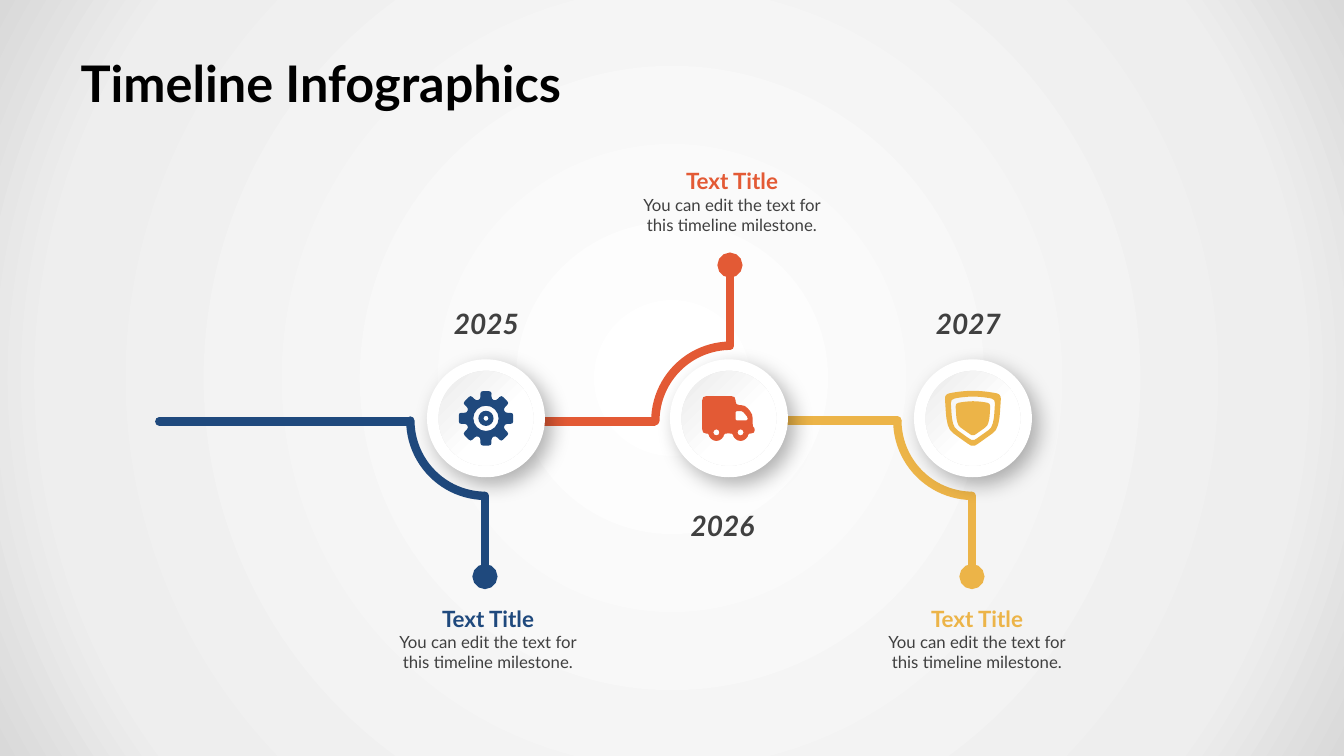
from dataclasses import dataclass
from math import cos, dist, radians, sin
from typing import Callable

from lxml import etree
from pptx import Presentation
from pptx.dml.color import RGBColor
from pptx.enum.shapes import MSO_CONNECTOR, MSO_SHAPE
from pptx.enum.text import MSO_ANCHOR, PP_ALIGN
from pptx.oxml import parse_xml
from pptx.oxml.ns import nsdecls, qn
from pptx.util import Inches, Pt

ARC, OVAL, STRAIGHT = MSO_SHAPE.ARC, MSO_SHAPE.OVAL, MSO_CONNECTOR.STRAIGHT
MIDDLE, LEFT, CENTER = MSO_ANCHOR.MIDDLE, PP_ALIGN.LEFT, PP_ALIGN.CENTER

CIRCLE_AXIS = 4.15
RADIUS = 0.75
DARK = "404040"
TITLE = {"size": Pt(36), "bold": True}
YEAR = {"size": Pt(20), "bold": True, "italic": True}
HEADING = {"size": Pt(16), "bold": True}
BODY = {"size": Pt(12), "bold": False}

Point = tuple[float, float]
TextLine = tuple[str, str, dict]


@dataclass(frozen=True)
class Outline:
    corners: list[Point]
    rounding: float


@dataclass(frozen=True)
class Milestone:
    year: str
    color: str
    center: float
    arc_center: Point
    line: tuple[float, float, float]
    stem: tuple[float, float, float]
    year_place: Point
    label_place: Point
    upward: bool
    icon: Callable[[], list[Outline]]


def polar(radius: float, angle: float, x: float = 0, y: float = 0) -> Point:
    return x + radius * cos(radians(angle)), y + radius * sin(radians(angle))


def octagon(radius: float, x: float = 0, y: float = 0) -> list[Point]:
    """Corners of the octagon around a circle, from the lower right onwards."""
    return [polar(radius / cos(radians(22.5)), 22.5 + 45 * k, x, y) for k in range(8)]


def circle(radius: float, x: float = 0, y: float = 0) -> Outline:
    return Outline(octagon(radius, x, y), radius)


# Icon outlines are in hundredths of an inch around the milestone centre.
def gear() -> list[Outline]:
    teeth = [polar(radius, 45 * tooth + offset) for tooth in range(8)
             for radius, offset in ((19.8, -16), (27.5, -11.5), (27.5, 11.5), (19.8, 16))]
    return [Outline(teeth, 2.5), circle(12.5), circle(7.5), circle(2.5)]


def truck() -> list[Outline]:
    body = [(-26.5, -22), (6.5, -22), (6.5, -13), (16, -13), (23.5, -4),
            (23.5, 9), (25.5, 9), (25.5, 15)]
    for x in (11.5, -12.5):
        body += [(x + 7.5, 15), *octagon(7.5, x, 15)[:4], (x - 7.5, 15)]
    window = [(6.5, -7), (13.5, -7), (18.5, -1), (18.5, 2), (6.5, 2)]
    return [Outline(body + [(-26.5, 15)], 4), Outline(window, 1),
            circle(3, 11.5, 14), circle(3, -12.5, 14)]


def shield() -> list[Outline]:
    right = [(14, -26.5), (28, -24), (26.5, 0), (23.5, 12), (4, 26)]
    left = [(-x, y) for x, y in reversed(right)]
    corners = [(0, -27.5), *right, (0, 28), *left]
    return [Outline([(x * scale, y * scale) for x, y in corners], 5 * scale)
            for scale in (1, 0.79, 0.62)]


def corner_curves(outline: Outline) -> list[Point]:
    """Give entry, control and exit point of the curve at each corner."""
    corners, points = outline.corners, []
    for i, corner in enumerate(corners):
        ends = []
        for neighbor in (corners[i - 1], corners[(i + 1) % len(corners)]):
            share = min(outline.rounding / dist(corner, neighbor), 0.5)
            ends.append(tuple(c + (n - c) * share for c, n in zip(corner, neighbor)))
        points += [ends[0], corner, ends[1]]
    return [(Inches(x / 100), Inches(y / 100)) for x, y in points]


def add_icon(slide, milestone: Milestone) -> None:
    contours = [corner_curves(outline) for outline in milestone.icon()]
    builder = slide.shapes.build_freeform(*contours[0][0])
    for index, points in enumerate(contours):
        if index:
            builder.move_to(*points[0])
        builder.add_line_segments(points[1:], close=False)
    icon = builder.convert_to_shape(Inches(milestone.center), Inches(CIRCLE_AXIS))
    path = icon._element.spPr.find(".//" + qn("a:path"))
    steps = list(path)
    for entry, control, leave in zip(steps[::3], steps[1::3], steps[2::3]):
        control.tag = qn("a:quadBezTo")
        control.append(leave[0])
        path.remove(leave)
        if entry.tag == qn("a:moveTo") and entry is not steps[0]:
            entry.addprevious(etree.Element(qn("a:close")))
    etree.SubElement(path, qn("a:close"))
    icon.shadow.inherit = False
    icon.fill.solid()
    icon.fill.fore_color.rgb = rgb(milestone.color)
    icon.line.fill.background()


def rgb(color: str) -> RGBColor:
    return RGBColor.from_string(color)


def fill_gradient(fill, properties, stops: dict[int, str], direction: str) -> None:
    fill.solid()
    stop_xml = "".join(f'<a:gs pos="{position * 1000}"><a:srgbClr val="{color}"/></a:gs>'
                       for position, color in stops.items())
    gradient = parse_xml(f'<a:gradFill {nsdecls("a")} rotWithShape="1">'
                         f"<a:gsLst>{stop_xml}</a:gsLst>{direction}</a:gradFill>")
    properties.replace(properties.find(qn("a:solidFill")), gradient)


def style_line(shape, color: str):
    shape.line.color.rgb = rgb(color)
    shape.line.width = Pt(6)
    line = shape.line._get_or_add_ln()
    line.set("cap", "rnd")
    etree.SubElement(line, qn("a:round"))
    return line


def add_line(slide, start: Point, end: Point, color: str, dot: bool = False) -> None:
    connector = slide.shapes.add_connector(STRAIGHT, *map(Inches, start + end))
    line = style_line(connector, color)
    if dot:
        etree.SubElement(line, qn("a:tailEnd"), type="oval")
    etree.SubElement(connector._element.spPr, qn("a:effectLst"))


def add_branch(slide, milestone: Milestone) -> None:
    color, (x, y) = milestone.color, milestone.arc_center
    arc = slide.shapes.add_shape(ARC, Inches(x - RADIUS), Inches(y - RADIUS),
                                 Inches(2 * RADIUS), Inches(2 * RADIUS))
    arc.shadow.inherit = False
    arc.adjustments[0], arc.adjustments[1] = 108.13, 161.31
    arc.fill.background()
    style_line(arc, color)
    if not milestone.upward:
        arc._element.spPr.xfrm.set("flipV", "1")
    line_end, line_start, line_y = milestone.line
    add_line(slide, (line_end, line_y), (line_start, line_y), color)
    stem_x, stem_start, stem_end = milestone.stem
    add_line(slide, (stem_x, stem_start), (stem_x, stem_end), color, dot=True)


def add_disc(slide, center: float, size: float):
    disc = slide.shapes.add_shape(OVAL, Inches(center - size / 2),
                                  Inches(CIRCLE_AXIS - size / 2), Inches(size), Inches(size))
    disc.shadow.inherit = False
    disc.fill.solid()
    disc.fill.fore_color.rgb = rgb("FFFFFF")
    disc.line.fill.background()
    return disc


def add_badge(slide, milestone: Milestone) -> None:
    """Draw a white disc with a soft shadow and a shaded disc inside it."""
    effects = add_disc(slide, milestone.center, 1.17)._element.spPr.find(qn("a:effectLst"))
    effects.append(parse_xml(
        f'<a:outerShdw {nsdecls("a")} blurRad="{Pt(15)}" dist="{Pt(7)}" dir="2700000" '
        'algn="tl" rotWithShape="0"><a:srgbClr val="000000"><a:alpha val="30000"/>'
        "</a:srgbClr></a:outerShdw>"))
    inner = add_disc(slide, milestone.center, 0.94)
    fill_gradient(inner.fill, inner._element.spPr, {0: "EBEBEB", 60: "FFFFFF"},
                  '<a:lin ang="2700000" scaled="0"/>')


def add_text(slide, box: tuple[float, ...], lines: list[TextLine], alignment=CENTER,
             wrap: bool = True, insets: Point = (0.1, 0.05)) -> None:
    frame = slide.shapes.add_textbox(*map(Inches, box)).text_frame
    horizontal, vertical = map(Inches, insets)
    layout = {"word_wrap": wrap, "vertical_anchor": MIDDLE,
              "margin_left": horizontal, "margin_right": horizontal,
              "margin_top": vertical, "margin_bottom": vertical}
    for name, value in layout.items():
        setattr(frame, name, value)
    for index, (text, color, text_format) in enumerate(lines):
        paragraph = frame.add_paragraph() if index else frame.paragraphs[0]
        paragraph.alignment = alignment
        run = paragraph.add_run()
        run.text = text
        for name, value in ({"name": "Lato"} | text_format).items():
            setattr(run.font, name, value)
        run.font.color.rgb = rgb(color)


def add_year(slide, milestone: Milestone) -> None:
    add_text(slide, (*milestone.year_place, 0.85, 0.44),
             [(milestone.year, DARK, YEAR)], wrap=False)


def add_label(slide, milestone: Milestone) -> None:
    add_text(slide, (*milestone.label_place, 2.02, 0.99),
             [("Text Title", milestone.color, HEADING),
              ("You can edit the text for this timeline milestone.", DARK, BODY)])


def main() -> None:
    presentation = Presentation()
    presentation.slide_width, presentation.slide_height = Inches(13.33), Inches(7.5)
    slide = presentation.slides.add_slide(presentation.slide_layouts[6])
    fill_gradient(slide.background.fill, slide._element.cSld.bg.bgPr,
                  {0: "FFFFFF", 81: "EEEEEE", 100: "D9D9D9"},
                  '<a:path path="circle"><a:fillToRect l="50000" t="50000" '
                  'r="50000" b="50000"/></a:path>')
    add_text(slide, (0.67, 0.43, 12, 0.78), [("Timeline Infographics", "000000", TITLE)],
             alignment=LEFT, insets=(0.13, 0.07))
    milestones = [
        Milestone("2025", "1F497D", 4.82, (4.82, 4.17), (4.06, 1.58, 4.18),
                  (4.81, 4.92, 5.72), (4.4, 2.99), (3.83, 5.84), False, gear),
        Milestone("2026", "E35A35", 7.23, (7.25, 4.18), (6.49, 5.33, 4.18),
                  (7.24, 3.43, 2.63), (6.74, 4.99), (6.25, 1.5), True, truck),
        Milestone("2027", "ECB448", 9.65, (9.65, 4.17), (8.9, 7.73, 4.17),
                  (9.64, 4.92, 5.72), (9.18, 2.99), (8.68, 5.84), False, shield),
    ]
    for add_part in (add_branch, add_badge, add_year, add_label, add_icon):
        for milestone in milestones:
            add_part(slide, milestone)
    presentation.save("out.pptx")


if __name__ == "__main__":
    main()
